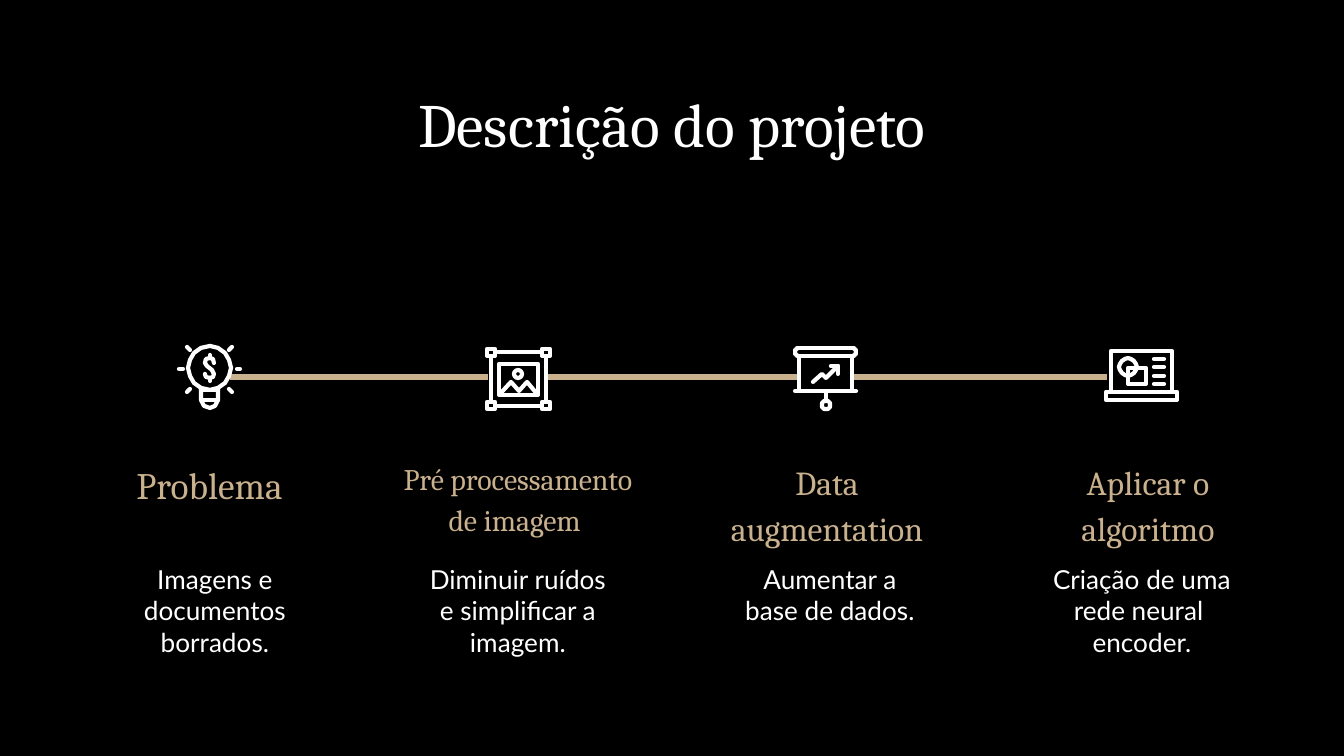
from dataclasses import dataclass
from math import cos, pi, sin

from lxml.etree import SubElement
from pptx import Presentation
from pptx.dml.color import RGBColor
from pptx.enum.shapes import MSO_CONNECTOR, MSO_SHAPE
from pptx.enum.text import MSO_ANCHOR, MSO_AUTO_SIZE, PP_ALIGN
from pptx.oxml.ns import qn
from pptx.util import Pt

PX = 914400 / 134.4
OVAL, BOX = MSO_SHAPE.OVAL, MSO_SHAPE.RECTANGLE


@dataclass(frozen=True)
class Theme:
    black: RGBColor = RGBColor(0, 0, 0)
    white: RGBColor = RGBColor(255, 255, 255)
    gold: RGBColor = RGBColor(0xC9, 0xB1, 0x8E)
    serif: str = "Cambria"
    sans: str = "Lato"
    title_size: int = 33
    large: int = 20
    medium: int = 18
    small: int = 16
    body_size: int = 14
    rule: float = 3
    stroke: float = 2.25


THEME = Theme()


def px(*lengths):
    return [round(length * PX) for length in lengths]


def arc(x, y, radius, start=0, turn=2):
    angles = [(start + turn * step / 16) * pi for step in range(17)]
    return [(x + radius * cos(angle), y + radius * sin(angle)) for angle in angles]


def square(x, y, width, height):
    return [(x, y), (x + width, y), (x + width, y + height), (x, y + height), (x, y)]


def write(shape, text, *, font, size, color, spacing=None, after=None):
    frame = shape.text_frame
    frame.word_wrap = True
    frame.auto_size = MSO_AUTO_SIZE.NONE
    frame.vertical_anchor = MSO_ANCHOR.TOP
    frame.margin_left = frame.margin_right = frame.margin_top = frame.margin_bottom = px(13.44)[0]
    paragraph = frame.paragraphs[0]
    paragraph.alignment = PP_ALIGN.CENTER
    if spacing:
        paragraph.line_spacing = spacing
    if after:
        paragraph.space_after = Pt(after)
    run = paragraph.add_run()
    run.text = text
    run.font.name, run.font.size = font, Pt(size)
    run.font.color.rgb = color


class ProjectSlide:
    """Draws the parts of a project timeline in one theme."""

    def __init__(self, deck, theme):
        self.theme = theme
        self.slide = deck.slides.add_slide(deck.slide_layouts[5])
        self.slide.background.fill.solid()
        self.slide.background.fill.fore_color.rgb = theme.black

    def title(self, text, box):
        heading = self.slide.shapes.title
        heading.left, heading.top, heading.width, heading.height = px(*box)
        write(heading, text, font=self.theme.serif, size=self.theme.title_size, color=self.theme.white)

    def label(self, text, box, **style):
        write(self.slide.shapes.add_textbox(*px(*box)), text, **style)

    def ink(self, mark, color, width, cap="flat"):
        mark.line.color.rgb = color
        mark.line.width = Pt(width)
        properties = mark.element.spPr
        outline = properties.find(qn("a:ln"))
        outline.set("cap", cap)
        SubElement(outline, qn("a:round"))
        SubElement(properties, qn("a:effectLst"))

    def rule(self, start, end, y):
        link = self.slide.shapes.add_connector(MSO_CONNECTOR.STRAIGHT, *px(start, y, end, y))
        self.ink(link, self.theme.gold, self.theme.rule)

    def outline(self, parts, kind, box):
        mark = parts.add_shape(kind, *px(*box))
        mark.fill.background()
        return mark

    def drawing(self, parts, contours):
        builder = parts.build_freeform(*contours[0][0], scale=PX)
        for number, (start, *rest) in enumerate(contours):
            if number:
                builder.move_to(*start)
            builder.add_line_segments(rest, close=False)
        mark = builder.convert_to_shape()
        mark.fill.background()
        return mark

    def stroke(self, parts, start, end):
        return parts.add_connector(MSO_CONNECTOR.STRAIGHT, *px(*start, *end))

    def icon(self, outlines=(), drawings=(), strokes=()):
        parts = self.slide.shapes.add_group_shape().shapes
        marks = [self.outline(parts, kind, box) for kind, box in outlines]
        marks += [self.drawing(parts, contours) for contours in drawings]
        marks += [self.stroke(parts, *ends) for ends in strokes]
        for mark in marks:
            self.ink(mark, self.theme.white, self.theme.stroke, "rnd")


BULB = dict(
    drawings=[
        [
            arc(209.5, 368, 21.5),
            [(201, 388), (201, 400), (204, 406), (210, 408), (215, 406), (218, 400), (218, 388)],
            [(201, 390), (218, 390)],
            [(201, 400), (218, 400)],
        ],
        [
            [(214, 363), (213, 359), (210, 358), (206, 359), (205, 363), (207, 366),
             (212, 370), (214, 374), (213, 377), (210, 378), (206, 377), (205, 374)],
            [(210, 355), (210, 358)],
            [(210, 378), (210, 381)],
        ],
    ],
    strokes=[
        [(179, 369), (183, 369)],
        [(237, 369), (240, 369)],
        [(187, 347), (190, 350)],
        [(232, 347), (229, 350)],
        [(190, 389), (187, 392)],
        [(229, 389), (232, 392)],
    ],
)
FRAME = dict(
    outlines=[(OVAL, (514, 370, 8, 8))],
    drawings=[
        [square(x, y, 8, 7) for x in (487, 542) for y in (349, 402)]
        + [[(497, y), (540, y)] for y in (352, 406)]
        + [[(x, 358), (x, 400)] for x in (491, 546)],
        [square(499, 364, 39, 31), [(500, 394), (511, 382), (519, 391), (527, 382), (537, 394)]],
    ],
)
BOARD = dict(
    drawings=[
        [
            arc(799, 352, 4, 0.5, 1) + arc(852, 352, 4, 1.5, 1) + [(799, 356)],
            [(799, 357), (799, 391)],
            [(852, 357), (852, 391)],
            [(795, 391), (856, 391)],
            [(826, 393), (826, 400)],
            arc(826, 405, 4),
        ],
        [
            [(813, 382), (822, 374), (826, 378), (838, 366)],
            [(831, 366), (838, 366), (838, 374)],
        ],
    ],
)
LAPTOP = dict(
    drawings=[
        [square(1111, 351, 61, 41), square(1106, 392, 71, 8)],
        [arc(1128, 367, 9), square(1128, 368, 18, 16)],
    ],
    strokes=[[(1154, y), (1164, y)] for y in (359, 367, 376, 384)],
)

STEPS = [
    ("Problema", THEME.large, 103, 213, "Imagens e documentos borrados.", 108, BULB),
    ("Pré processamento de imagem ", THEME.small, 374, 288, "Diminuir ruídos e simplificar a imagem.", 411, FRAME),
    ("Data augmentation", THEME.medium, 702, 250, "Aumentar a base de dados.", 723, BOARD),
    ("Aplicar o algoritmo", THEME.medium, 1029, 238, "Criação de uma rede neural  encoder.", 1035, LAPTOP),
]


def main():
    deck = Presentation()
    deck.slide_width, deck.slide_height = px(1344, 756)
    project = ProjectSlide(deck, THEME)
    project.title("Descrição do projeto", (103, 72, 1138, 97))
    for start, end in [(230, 488), (548, 798), (850, 1107)]:
        project.rule(start, end, 377)
    for name, size, name_left, name_width, detail, detail_left, icon in STEPS:
        project.label(name, (name_left, 442, name_width, 70), font=THEME.serif, size=size,
                      color=THEME.gold, spacing=1.15, after=16)
        project.label(detail, (detail_left, 550, 214, 117), font=THEME.sans,
                      size=THEME.body_size, color=THEME.white)
        project.icon(**icon)
    deck.save("out.pptx")


if __name__ == "__main__":
    main()
